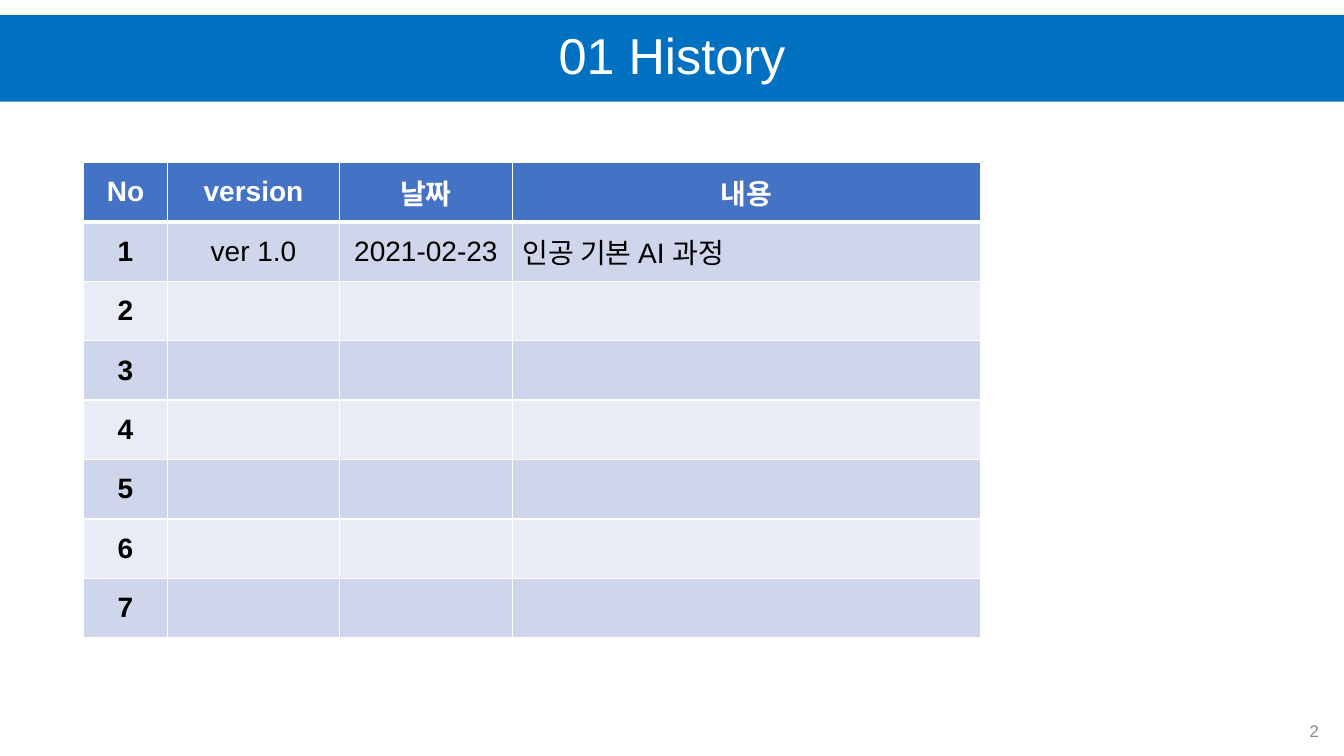
import dataclasses

import pptx
import pptx.dml.color
import pptx.enum.shapes
import pptx.enum.text
import pptx.oxml
import pptx.oxml.ns
import pptx.util

Inches = pptx.util.Inches
Pt = pptx.util.Pt
RGBColor = pptx.dml.color.RGBColor
Align = pptx.enum.text.PP_ALIGN
Anchor = pptx.enum.text.MSO_ANCHOR

WHITE = RGBColor(0xFF, 0xFF, 0xFF)
BLACK = RGBColor(0x00, 0x00, 0x00)
GREY = RGBColor(0x88, 0x88, 0x88)
TITLE_BLUE = RGBColor(0x00, 0x70, 0xC0)
HEADER_BLUE = RGBColor(0x44, 0x72, 0xC4)
BAND_DARK = RGBColor(0xCF, 0xD5, 0xEA)
BAND_LIGHT = RGBColor(0xE9, 0xEB, 0xF5)

FONT = "Arial"
ROW_HEIGHT = 0.59
VERSION_COUNT = 7


@dataclasses.dataclass(frozen=True)
class Column:
    heading: str
    width: float
    align: Align = Align.CENTER


@dataclasses.dataclass(frozen=True)
class TextStyle:
    size: float
    color: RGBColor
    align: Align
    bold: bool = False


COLUMNS = [
    Column("No", 0.83),
    Column("version", 1.71),
    Column("날짜", 1.71),
    Column("내용", 4.65, Align.LEFT),
]
ENTRIES = {1: ["ver 1.0", "2021-02-23", "인공 기본 AI 과정"]}


def write_text(frame: pptx.text.text.TextFrame, text: str, style: TextStyle) -> None:
    frame.text = text
    para = frame.paragraphs[0]
    para.alignment = style.align
    for span in para.runs:
        span.font.name = FONT
        span.font.size = Pt(style.size)
        span.font.bold = style.bold
        span.font.color.rgb = style.color


def set_borders(cell: pptx.table._Cell, top: float, bottom: float) -> None:
    """Draw white cell borders, with top and bottom widths in points."""
    properties = cell._tc.get_or_add_tcPr()
    widths = {"lnL": 1, "lnR": 1, "lnT": top, "lnB": bottom}
    for position, (side, width) in enumerate(widths.items()):
        line = pptx.oxml.parse_xml(
            f'<a:{side} {pptx.oxml.ns.nsdecls("a")} w="{Pt(width)}">'
            f'<a:solidFill><a:srgbClr val="{WHITE}"/></a:solidFill></a:{side}>'
        )
        properties.insert(position, line)


def add_title(page: pptx.slide.Slide, text: str) -> None:
    bar = page.shapes.add_shape(
        pptx.enum.shapes.MSO_SHAPE.RECTANGLE,
        Inches(0), Inches(0.15), Inches(13.33), Inches(0.86),
    )
    bar.shadow.inherit = False
    bar.fill.solid()
    bar.fill.fore_color.rgb = TITLE_BLUE
    bar.line.fill.background()
    bar.text_frame.vertical_anchor = Anchor.MIDDLE
    write_text(bar.text_frame, text, TextStyle(36, WHITE, Align.CENTER))
    bar.text_frame.paragraphs[0].line_spacing = 0.9


def add_page_number(page: pptx.slide.Slide, number: int) -> None:
    box = page.shapes.add_textbox(Inches(12.58), Inches(7.08), Inches(0.6), Inches(0.34))
    box.text_frame.word_wrap = True
    box.text_frame.vertical_anchor = Anchor.MIDDLE
    write_text(box.text_frame, str(number), TextStyle(12, GREY, Align.RIGHT))


def add_history_table(page: pptx.slide.Slide) -> None:
    rows = [[column.heading for column in COLUMNS]]
    for number in range(1, VERSION_COUNT + 1):
        rows.append([str(number), *ENTRIES.get(number, [""] * (len(COLUMNS) - 1))])

    table = page.shapes.add_table(
        len(rows), len(COLUMNS), Inches(0.83), Inches(1.61),
        Inches(sum(column.width for column in COLUMNS)), Inches(ROW_HEIGHT * len(rows)),
    ).table
    for index, column in enumerate(COLUMNS):
        table.columns[index].width = Inches(column.width)

    for row_index, texts in enumerate(rows):
        is_header = row_index == 0
        band = BAND_DARK if row_index % 2 else BAND_LIGHT
        for column_index, (column, text) in enumerate(zip(COLUMNS, texts)):
            cell = table.cell(row_index, column_index)
            cell.vertical_anchor = Anchor.MIDDLE
            cell.fill.solid()
            cell.fill.fore_color.rgb = HEADER_BLUE if is_header else band
            set_borders(cell, top=3 if row_index == 1 else 1, bottom=3 if is_header else 1)
            write_text(cell.text_frame, text, TextStyle(
                size=20,
                color=WHITE if is_header else BLACK,
                align=Align.CENTER if is_header else column.align,
                bold=is_header or column_index == 0,
            ))


def main() -> None:
    deck = pptx.Presentation()
    deck.slide_width = Inches(13.33)
    deck.slide_height = Inches(7.5)
    page = deck.slides.add_slide(deck.slide_layouts[6])
    add_title(page, "01 History")
    add_page_number(page, 2)
    add_history_table(page)
    deck.save("out.pptx")


if __name__ == "__main__":
    main()
